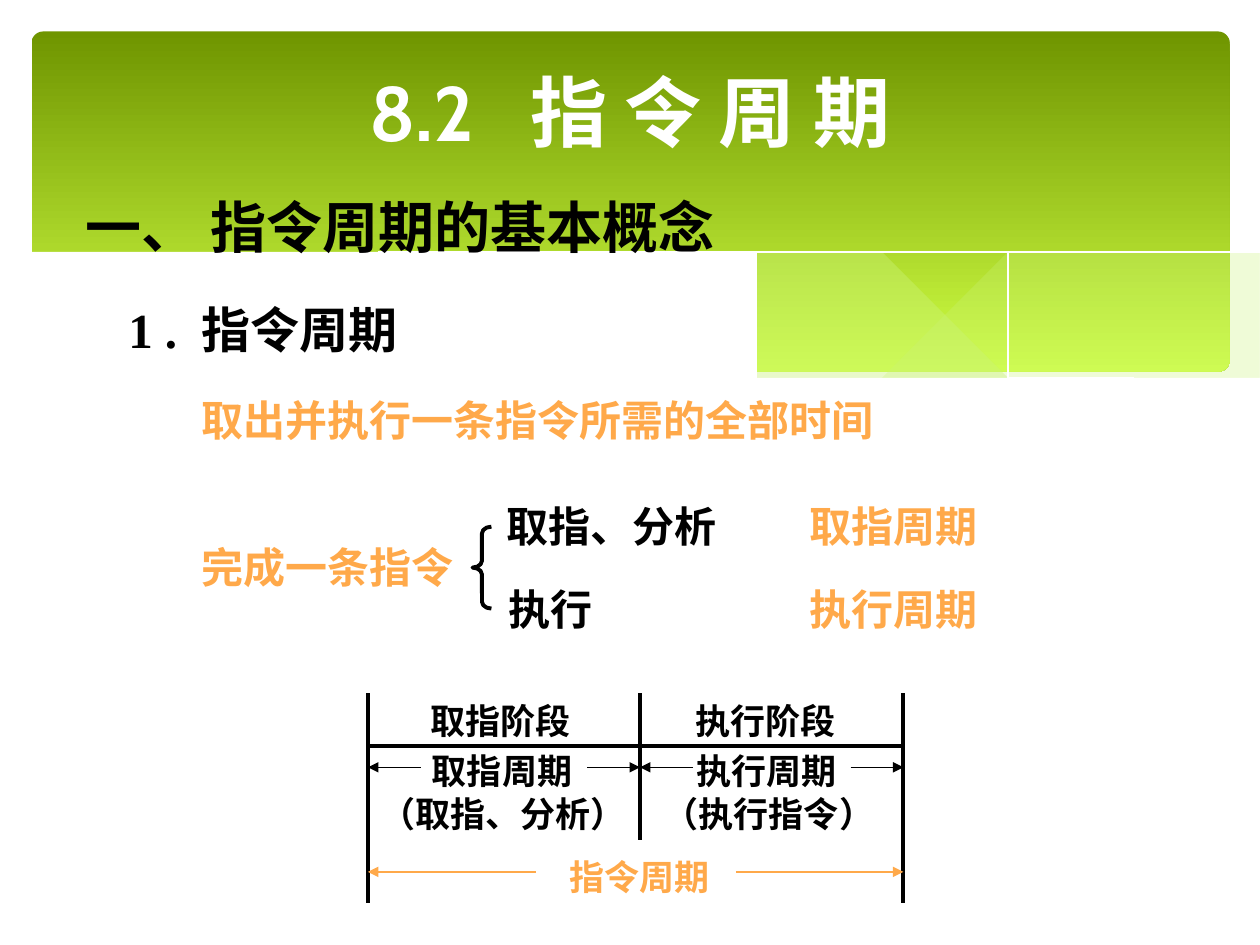
from lxml import etree
from pptx import Presentation
from pptx.dml.color import RGBColor
from pptx.enum.shapes import MSO_CONNECTOR, MSO_SHAPE
from pptx.enum.text import MSO_ANCHOR, PP_ALIGN
from pptx.oxml.ns import qn
from pptx.util import Inches, Pt

STRAIGHT = MSO_CONNECTOR.STRAIGHT
ROUNDED, BRACE = MSO_SHAPE.ROUNDED_RECTANGLE, MSO_SHAPE.LEFT_BRACE
MIDDLE, TOP = MSO_ANCHOR.MIDDLE, MSO_ANCHOR.TOP
CENTER, LEFT = PP_ALIGN.CENTER, PP_ALIGN.LEFT

THEME = {
    "white": "FFFFFF", "ink": "000000", "accent": "FFA94A",
    "band_top": "6F9500", "band_bottom": "D0FF44", "ripple": "CAF278",
    "title_font": "Cabin", "body_font": "Times New Roman",
    "title": 44, "heading": 32, "subheading": 28, "body": 24, "label": 20,
    "rule": 2.25, "arrow": 0.75, "hairline": 0,
}

TITLE = (["8.2", "指 令 周 期"], 22)
STATEMENTS = [
    (["一、 指令周期的基本概念"], 0, 0.58, 1.48, 6.25, "heading", "ink"),
    (["1 .", "指令周期"], 7, 0.92, 2.33, 6.25, "subheading", "ink"),
    (["取出并执行一条指令所需的全部时间"], 0, 1.5, 3.08, 6.25, "body", "accent"),
    (["完成一条指令"], 0, 1.5, 4.25, 3, "body", "accent"),
    (["取指、分析"], 0, 3.92, 3.92, 2.17, "body", "ink"),
    (["执行"], 0, 3.94, 4.58, 1.72, "body", "ink"),
    (["取指周期"], 0, 6.33, 3.92, 1.83, "body", "accent"),
    (["执行周期"], 0, 6.33, 4.58, 2, "body", "accent"),
]
CYCLE_LABELS = [
    ("取指阶段", 3.32, 5.5, 1.31, "ink"),
    ("执行阶段", 5.42, 5.5, 1.31, "ink"),
    ("取指周期", 3.33, 5.9, 1.31, "ink"),
    ("执行周期", 5.43, 5.9, 1.31, "ink"),
    ("（取指、分析）", 2.92, 6.24, 2.15, "ink"),
    ("（执行指令）", 5.17, 6.24, 1.87, "ink"),
    ("指令周期", 4.42, 6.74, 1.31, "accent"),
]
START, SPLIT, END = 2.92, 5.08, 7.17
TIMELINE_TOP, TIMELINE_BASE = 5.5, 5.92
DIVIDERS = [(START, 7.17), (SPLIT, 6.67), (END, 7.17)]
SPANS = [
    (START, SPLIT, 6.09, 0.42, "ink"),
    (SPLIT, END, 6.09, 0.42, "ink"),
    (START, END, 6.92, 1.33, "accent"),
]

RIPPLES = [
    (29, [[(9.76, 2), (9.35, 2.07), (8.91, 2.16), (8.32, 2.3), (7.53, 2.48), (6.61, 2.65)],
          [(6.61, 2.65), (7.05, 2.71), (7.57, 2.76), (8.03, 2.78), (8.54, 2.76),
           (8.97, 2.7), (9.42, 2.59), (9.76, 2.47)]]),
    (40, [[(8.93, 2.73), (8.07, 2.6), (7.06, 2.4), (6.29, 2.22), (5.55, 2.05), (4.89, 1.94),
           (4.2, 1.87), (3.61, 1.85), (2.86, 1.91)],
          [(2.86, 1.91), (3.62, 2.03), (4.49, 2.22), (5.3, 2.4), (6.18, 2.58), (6.95, 2.7),
           (7.61, 2.77), (8.18, 2.79), (8.57, 2.77), (8.93, 2.73)]]),
]
STRANDS = [
    [(3.09, 1.95), (3.53, 1.89), (4.16, 1.87), (4.89, 1.9), (5.56, 1.97), (6.36, 2.08),
     (7.27, 2.26), (8.31, 2.51), (9.07, 2.72)],
    [(6.13, 2.57), (6.95, 2.35), (7.76, 2.16), (8.66, 1.99), (9.24, 1.9), (9.75, 1.85)],
]
WAVE = [(9.77, 2.46), (9.4, 2.59), (8.99, 2.69), (8.5, 2.75), (7.93, 2.76), (7.26, 2.72),
        (6.47, 2.62), (5.55, 2.45), (4.47, 2.2), (3.65, 2.02), (2.92, 1.9), (2.3, 1.85),
        (1.76, 1.84), (1.19, 1.87), (0.75, 1.95), (0.46, 2.03), (0.23, 2.13)]
WAVE_FLOOR = [(0.23, 3.29), (9.77, 3.29)]


def rgb(name):
    return RGBColor.from_string(THEME[name])


def smooth(knots, steps=6):
    """Sample a Catmull-Rom curve through the knots."""
    padded = [knots[0], *knots, knots[-1]]
    curve = [knots[0]]
    for a, b, c, d in zip(padded, padded[1:], padded[2:], padded[3:]):
        for t in (step / steps for step in range(1, steps + 1)):
            curve.append(tuple(
                q + t * (r - p + t * (2 * p - 5 * q + 4 * r - s + t * (3 * (q - r) + s - p))) / 2
                for p, q, r, s in zip(a, b, c, d)))
    return curve


def add_outline(slide, points, fill=None, alpha=100):
    builder = slide.shapes.build_freeform(*points[0], scale=Inches(1))
    builder.add_line_segments(points[1:], close=fill is not None)
    outline = builder.convert_to_shape()
    outline.shadow.inherit = False
    if fill is None:
        outline.fill.background()
        outline.line.color.rgb = rgb("white")
        outline.line.width = Pt(THEME["hairline"])
        return
    outline.line.fill.background()
    outline.fill.solid()
    outline.fill.fore_color.rgb = rgb(fill)
    if alpha < 100:
        color = next(outline.element.spPr.iter(qn("a:srgbClr")))
        etree.SubElement(color, qn("a:alpha"), val=str(alpha * 1000))


def add_text(slide, parts, gap, left, top, width, size, color,
             height=None, font="body_font", wrap=True, anchor=TOP, align=LEFT):
    height = height or THEME[size] * 1.2 / 72 + 0.1
    frame = slide.shapes.add_textbox(
        Inches(left), Inches(top), Inches(width), Inches(height)).text_frame
    frame.word_wrap = wrap
    frame.vertical_anchor = anchor
    paragraph = frame.paragraphs[0]
    paragraph.alignment = align
    pieces = [parts[0]] + [piece for part in parts[1:] for piece in (" ", part)]
    for piece in pieces:
        run = paragraph.add_run()
        run.text = piece
        run.font.name = THEME[font]
        run.font.size = Pt(THEME[size])
        run.font.bold = True
        run.font.color.rgb = rgb(color)
        if piece == " ":
            run.font._element.set("spc", str(gap * 100))


def add_line(slide, x1, y1, x2, y2, weight, color="ink", arrow=False):
    line = slide.shapes.add_connector(STRAIGHT, *map(Inches, (x1, y1, x2, y2)))
    line.line.color.rgb = rgb(color)
    line.line.width = Pt(THEME[weight])
    if arrow:
        etree.SubElement(line.line._get_or_add_ln(), qn("a:tailEnd"), type="triangle")
    etree.SubElement(line._element.spPr, qn("a:effectLst"))


def add_backdrop(slide):
    band = slide.shapes.add_shape(ROUNDED, *map(Inches, (0.25, 0.25, 9.51, 2.7)))
    band.adjustments[0] = 0.034
    band.shadow.inherit = False
    band.line.fill.background()
    band.fill.gradient()
    band.fill.gradient_angle = 270
    for stop, color in zip(band.fill.gradient_stops, ("band_top", "band_bottom")):
        stop.color.rgb = rgb(color)
    for alpha, edges in RIPPLES:
        add_outline(slide, [point for edge in edges for point in smooth(edge)], "ripple", alpha)
    for strand in STRANDS:
        add_outline(slide, smooth(strand))
    add_outline(slide, smooth(WAVE) + WAVE_FLOOR, "white")


def add_brace(slide):
    brace = slide.shapes.add_shape(BRACE, *map(Inches, (3.75, 4.18, 0.15, 0.65)))
    brace.adjustments[0] = 0.36
    brace.shadow.inherit = False
    brace.fill.background()
    brace.line.color.rgb = rgb("ink")
    brace.line.width = Pt(THEME["rule"])


def add_timeline(slide):
    for label, left, top, width, color in CYCLE_LABELS:
        add_text(slide, [label], 0, left, top, width, "label", color, wrap=False)
    add_line(slide, START, TIMELINE_BASE, END, TIMELINE_BASE, "rule")
    for x, bottom in DIVIDERS:
        add_line(slide, x, TIMELINE_TOP, x, bottom, "rule")
    for left, right, y, length, color in SPANS:
        add_line(slide, left + length, y, left, y, "arrow", color, arrow=True)
        add_line(slide, right - length, y, right, y, "arrow", color, arrow=True)


def main():
    deck = Presentation()
    deck.slide_width, deck.slide_height = Inches(10), Inches(7.5)
    slide = deck.slides.add_slide(deck.slide_layouts[6])
    add_backdrop(slide)
    add_text(slide, *TITLE, 0.75, 0.25, 8.5, "title", "white", height=1.25,
             font="title_font", anchor=MIDDLE, align=CENTER)
    for statement in STATEMENTS:
        add_text(slide, *statement)
    add_brace(slide)
    add_timeline(slide)
    deck.save("out.pptx")


if __name__ == "__main__":
    main()
